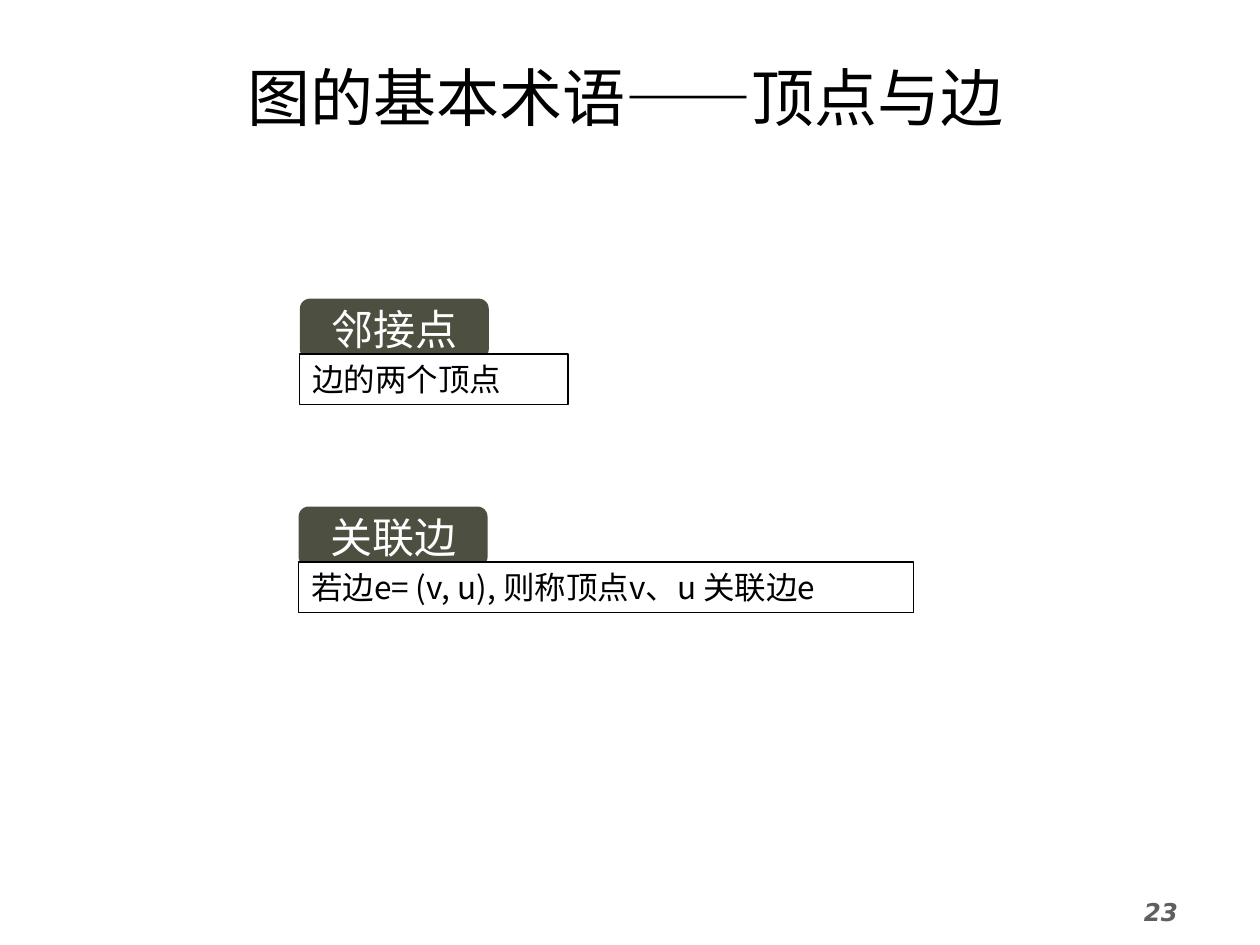
import pptx
import pptx.dml.color
import pptx.enum.shapes
import pptx.enum.text
import pptx.oxml.ns
import pptx.util
from lxml import etree

Inches = pptx.util.Inches
Color = pptx.dml.color.RGBColor
Kind = pptx.enum.shapes.MSO_SHAPE
Align = pptx.enum.text.PP_ALIGN
Anchor = pptx.enum.text.MSO_ANCHOR

BLACK = Color(0x00, 0x00, 0x00)
WHITE = Color(0xFF, 0xFF, 0xFF)
GRAY = Color(0x5F, 0x5F, 0x5F)
OLIVE = Color(0x4D, 0x50, 0x40)

SANS = "Noto Sans CJK SC"
HEAD = "Noto Sans CJK JP"
MONO = "Courier New"
PAGE = "DejaVu Sans"


class Deck:
    """Holds the style and the current slide."""

    tag_w, tag_h = 1.5, 0.48
    box_h, drop = 0.4, 0.44

    def __init__(self, slide):
        self.slide = slide

    def set_text(self, shape, text, size, face, color, align=Align.LEFT,
                 east=SANS, wrap=False, anchor=Anchor.MIDDLE):
        frame = shape.text_frame
        frame.text = text
        frame.word_wrap = wrap
        frame.vertical_anchor = anchor
        para = frame.paragraphs[0]
        para.alignment = align
        run = para.runs[0]
        run.font.size = pptx.util.Pt(size)
        run.font.color.rgb = color
        run.font.name = face
        # East Asian glyphs take their own typeface
        props = run._r.get_or_add_rPr()
        etree.SubElement(props, pptx.oxml.ns.qn("a:ea"), typeface=east)
        return run.font

    def label(self, x, y, w, h, text, size, face, color, **style):
        box = self.slide.shapes.add_textbox(
            Inches(x), Inches(y), Inches(w), Inches(h))
        return self.set_text(box, text, size, face, color, wrap=True, **style)

    def block(self, kind, x, y, w, h, fill):
        shape = self.slide.shapes.add_shape(
            kind, Inches(x), Inches(y), Inches(w), Inches(h))
        shape.shadow.inherit = False
        shape.fill.solid()
        shape.fill.fore_color.rgb = fill
        return shape

    def term(self, x, y, name, width, text):
        # Rounded tag with the term
        tag = self.block(Kind.ROUNDED_RECTANGLE, x, y,
                         self.tag_w, self.tag_h, OLIVE)
        tag.line.fill.background()
        self.set_text(tag, name, 24, MONO, WHITE, Align.CENTER)
        # Outlined box with its meaning
        box = self.block(Kind.RECTANGLE, x, y + self.drop,
                         width, self.box_h, WHITE)
        box.line.color.rgb = BLACK
        box.line.width = pptx.util.Pt(0.75)
        self.set_text(box, text, 18, SANS, BLACK)


def main():
    show = pptx.Presentation()
    show.slide_width, show.slide_height = Inches(10), Inches(7.5)
    deck = Deck(show.slides.add_slide(show.slide_layouts[6]))

    # Title
    deck.label(0.63, 0.41, 8.67, 0.71, "图的基本术语——顶点与边", 36,
               HEAD, BLACK, align=Align.CENTER, east=HEAD)

    # Terms
    deck.term(2.38, 2.37, "邻接点", 2.13, "边的两个顶点")
    deck.term(2.37, 4.02, "关联边", 4.88,
              "若边e= (v, u), 则称顶点v、u 关联边e")

    # Page number
    font = deck.label(8.98, 7.07, 1.02, 0.43, "23", 14, PAGE, GRAY,
                      anchor=Anchor.TOP)
    font.bold = font.italic = True

    show.save("out.pptx")


if __name__ == "__main__":
    main()
